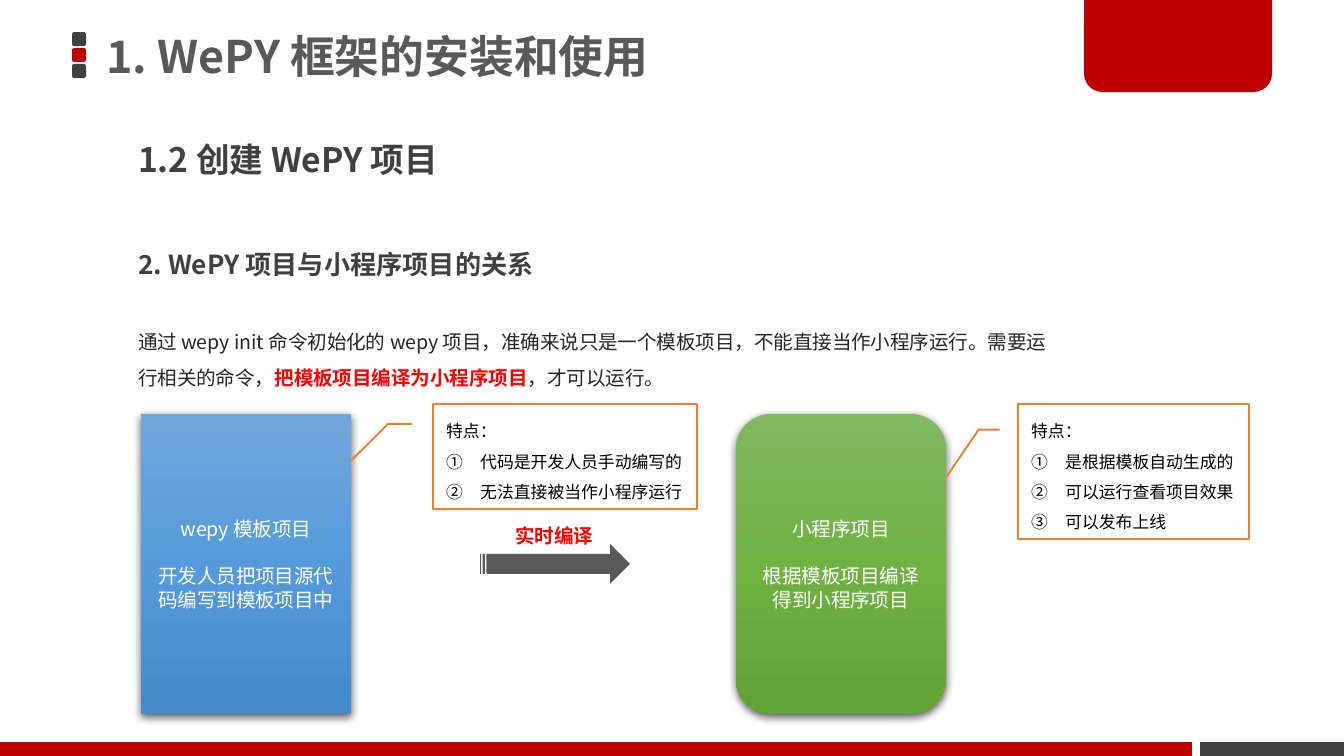
from copy import deepcopy

from lxml import etree
from pptx import Presentation
from pptx.dml.color import RGBColor
from pptx.enum.shapes import MSO_SHAPE
from pptx.enum.text import MSO_ANCHOR, PP_ALIGN
from pptx.oxml.ns import qn
from pptx.util import Pt

PX = 9144000 // 1344
FONT = "Noto Sans CJK SC"
RECT, ROUND_RECT = MSO_SHAPE.RECTANGLE, MSO_SHAPE.ROUNDED_RECTANGLE
TAB = MSO_SHAPE.ROUND_2_SAME_RECTANGLE
CALLOUT, ARROW = MSO_SHAPE.LINE_CALLOUT_2, MSO_SHAPE.STRIPED_RIGHT_ARROW
MIDDLE, TOP = MSO_ANCHOR.MIDDLE, MSO_ANCHOR.TOP
LEFT, CENTER = PP_ALIGN.LEFT, PP_ALIGN.CENTER

BLACK = RGBColor(0x00, 0x00, 0x00)
WHITE = RGBColor(0xFF, 0xFF, 0xFF)
INK = RGBColor(0x26, 0x26, 0x26)
DARK = RGBColor(0x40, 0x40, 0x40)
GRAY = RGBColor(0x59, 0x59, 0x59)
CRIMSON = RGBColor(0xC0, 0x00, 0x00)
RED = RGBColor(0xFF, 0x00, 0x00)
ORANGE = RGBColor(0xED, 0x7D, 0x31)
BLUES = [RGBColor(0x71, 0xA6, 0xDB), RGBColor(0x55, 0x9B, 0xDB), RGBColor(0x44, 0x8A, 0xCA)]
GREENS = [RGBColor(0x81, 0xB8, 0x61), RGBColor(0x6F, 0xB2, 0x42), RGBColor(0x62, 0xA3, 0x36)]

prs = Presentation()
prs.slide_width, prs.slide_height = 1344 * PX, 756 * PX
slide = prs.slides.add_slide(prs.slide_layouts[5])


def add_block(kind, box, color):
    """Add a borderless preset shape without shadow; box is in px."""
    block = slide.shapes.add_shape(kind, *(n * PX for n in box))
    block.shadow.inherit = False
    block.fill.solid()
    block.fill.fore_color.rgb = color
    block.line.fill.background()
    return block


def write(frame, lines, size, color, bold=False, align=LEFT, anchor=TOP, spacing=1.0, before=0):
    """Fill a text frame; each line is a list of runs."""
    frame.word_wrap = True
    frame.vertical_anchor = anchor
    for i, runs in enumerate(lines):
        paragraph = frame.add_paragraph() if i else frame.paragraphs[0]
        paragraph.alignment = align
        paragraph.line_spacing = spacing
        paragraph.space_before = Pt(before)
        font = paragraph.font
        font.name, font.size, font.bold = FONT, Pt(size), bold
        font.color.rgb = color
        for words in runs:
            run = paragraph.add_run()
            run.text = words
            etree.SubElement(run._r.get_or_add_rPr(), qn("a:ea"), typeface=FONT)


# Page frame
for row, color in enumerate([DARK, CRIMSON, DARK]):
    add_block(ROUND_RECT, (72, 32 + 16 * row, 14, 14), color)
add_block(RECT, (1200, 742, 144, 14), DARK)
corner_tab = add_block(TAB, (1084, 0, 188, 92), CRIMSON)
corner_tab.adjustments[0], corner_tab.adjustments[1] = 0, 0.2
add_block(RECT, (0, 742, 1192, 14), CRIMSON)

# Headings and introduction
title = slide.shapes.title
title.left, title.top, title.width, title.height = 93 * PX, 0, 990 * PX, 117 * PX
write(title.text_frame, [["1. WePY 框架的安装和使用"]], 24, GRAY, True, anchor=MIDDLE, spacing=0.9)

intro = ["通过 wepy init 命令初始化的 wepy 项目，准确来说只是一个模板项目，不能直接当作小程序运行。"
         "需要运行相关的命令，", "把模板项目编译为小程序项目", "，才可以运行。"]
for top, height, runs, size, color, bold, spacing in [
    (137, 79, ["1.2 创建 WePY 项目"], 18, DARK, True, 0.9),
    (245, 42, ["2. WePY 项目与小程序项目的关系"], 14, DARK, True, 0.9),
    (312, 87, intro, 10.5, INK, False, 1.5),
]:
    text_box = slide.shapes.add_textbox(125 * PX, top * PX, 954 * PX, height * PX)
    write(text_box.text_frame, [runs], size, color, bold, spacing=spacing, before=7.5)
key_phrase = text_box.text_frame.paragraphs[0].runs[1].font
key_phrase.bold = True
key_phrase.color.rgb = RED

# Template project and the mini program compiled from it
for kind, left, colors, lines in [
    (RECT, 141, BLUES, ["wepy 模板项目", "开发人员把项目源代码编写到模板项目中"]),
    (ROUND_RECT, 736, GREENS, ["小程序项目", "根据模板项目编译", "得到小程序项目"]),
]:
    project = add_block(kind, (left, 414, 210, 300), colors[0])
    project.fill.gradient()
    project.fill.gradient_angle = 270
    stop_list = project._element.spPr.find(".//" + qn("a:gsLst"))
    stop_list.append(deepcopy(stop_list[0]))
    for i, stop in enumerate(project.fill.gradient_stops):
        stop.position = i / 2
        stop.color.rgb = colors[i]
    effects = project._element.spPr.find(qn("a:effectLst"))
    shadow = etree.SubElement(effects, qn("a:outerShdw"), blurRad=str(Pt(4.5)),
                              dist=str(Pt(1.5)), dir="5400000", algn="ctr", rotWithShape="0")
    shade = etree.SubElement(shadow, qn("a:srgbClr"), val=str(BLACK))
    etree.SubElement(shade, qn("a:alpha"), val="63000")
    write(project.text_frame, [[line] for line in lines], 10.5, WHITE, align=CENTER, anchor=MIDDLE)
    project.text_frame.paragraphs[1].space_before = Pt(12.6)

# Compile step
add_block(ARROW, (480, 544, 150, 40), GRAY)
compile_label = slide.shapes.add_textbox(502 * PX, 517 * PX, 107 * PX, 38 * PX)
write(compile_label.text_frame, [["实时编译"]], 10.5, RED, True)

# Feature callouts
for box, features in [
    ((1018, 404, 231, 135), ["是根据模板自动生成的", "可以运行查看项目效果", "可以发布上线"]),
    ((433, 404, 264, 105), ["代码是开发人员手动编写的", "无法直接被当作小程序运行"]),
]:
    callout = add_block(CALLOUT, box, WHITE)
    for i, value in enumerate([0.19, -0.08, 0.19, -0.17, 0.54, -0.31]):
        callout.adjustments[i] = value
    callout.line.color.rgb = ORANGE
    callout.line.width = Pt(1)
    write(callout.text_frame, [[line] for line in ["特点：", *features]], 9, BLACK,
          anchor=MIDDLE, spacing=1.5)
    for paragraph in callout.text_frame.paragraphs[1:]:
        properties = paragraph._p.get_or_add_pPr()
        properties.set("marL", str(34 * PX))
        properties.set("indent", str(-34 * PX))
        numbering = etree.Element(qn("a:buAutoNum"), type="circleNumDbPlain")
        properties.find(qn("a:defRPr")).addprevious(numbering)

prs.save("out.pptx")
